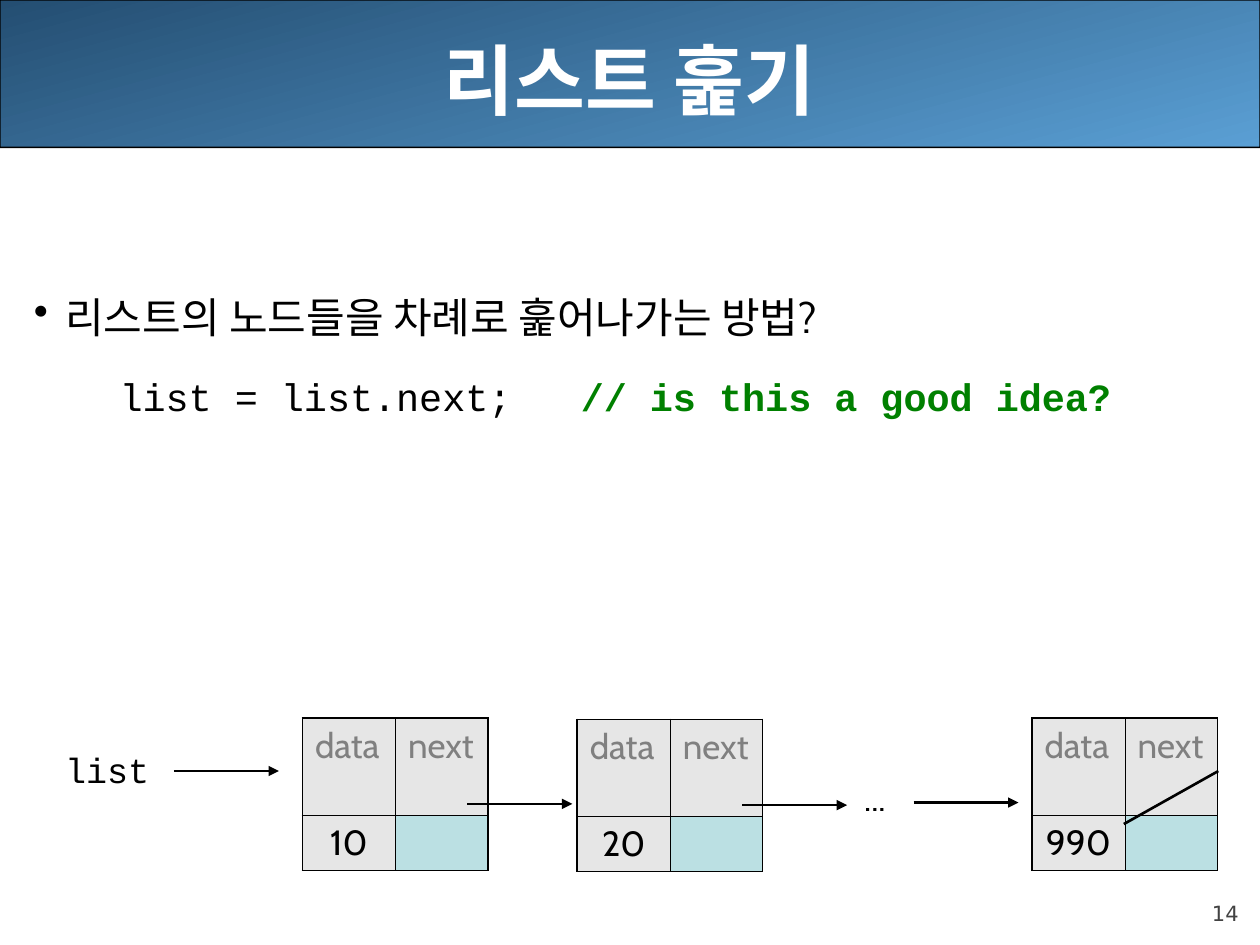
from dataclasses import dataclass, field

from lxml import etree
from pptx import Presentation
from pptx import util as u
from pptx.dml.color import RGBColor
from pptx.enum import shapes, text
from pptx.oxml.ns import qn

COLORS = {
    "black": "000000", "white": "FFFFFF", "banner_dark": "244E72",
    "banner_light": "5A9FD4", "comment": "008000", "number": "424242",
    "heading": "808080", "cell": "E6E6E6", "pointer": "BBE0E3",
}
LEFT, CENTER, RIGHT = text.PP_ALIGN.LEFT, text.PP_ALIGN.CENTER, text.PP_ALIGN.RIGHT
OUTER, INNER = 1.08, 0.45
ARROW_LENGTH = 60


@dataclass
class Run:
    words: str
    format: dict
    color: str = "black"


@dataclass
class Paragraph:
    runs: list[Run]
    align: text.PP_ALIGN = LEFT
    space_before: float = 0
    margin: float = 0
    indent: float = 0
    bullet: str = ""


@dataclass
class TextBox:
    left: float
    top: float
    width: float
    height: float
    paragraphs: list[Paragraph]
    format: dict = field(default_factory=dict)


@dataclass
class Node:
    left: float
    top: float
    value: str
    linked: bool = False


def font_format(name: str, size: float, bold: bool = False) -> dict:
    return {"name": name, "size": u.Pt(size), "bold": bold}


def rgb(color: str) -> RGBColor:
    return RGBColor.from_string(COLORS[color])


def write_paragraph(paragraph, content: Paragraph) -> None:
    paragraph.alignment = content.align
    paragraph.space_before = u.Pt(content.space_before)
    properties = paragraph._p.get_or_add_pPr()
    properties.set("marL", str(u.Pt(content.margin)))
    properties.set("indent", str(u.Pt(content.indent)))
    if content.bullet:
        etree.SubElement(properties, qn("a:buChar"), char=content.bullet)
    for item in content.runs:
        run = paragraph.add_run()
        run.text = item.words
        for key, value in item.format.items():
            setattr(run.font, key, value)
        run.font.color.rgb = rgb(item.color)


def add_text(slide, box: TextBox) -> None:
    shape = slide.shapes.add_textbox(*map(u.Pt, (box.left, box.top, box.width, box.height)))
    frame = shape.text_frame
    for key, value in ({"word_wrap": True} | box.format).items():
        setattr(frame, key, value)
    for index, content in enumerate(box.paragraphs):
        paragraph = frame.add_paragraph() if index else frame.paragraphs[0]
        write_paragraph(paragraph, content)


def add_banner(slide) -> None:
    banner = slide.shapes.add_shape(
        shapes.MSO_SHAPE.ROUNDED_RECTANGLE, 0, 0, u.Pt(720), u.Pt(84.24))
    banner.adjustments[0] = 0.001
    banner.shadow.inherit = False
    banner.fill.gradient()
    banner.fill.gradient_angle = 285
    for stop, color in zip(banner.fill.gradient_stops, ("banner_dark", "banner_light")):
        stop.color.rgb = rgb(color)
    banner.line.color.rgb = rgb("black")
    banner.line.width = u.Pt(0.75)


def add_line(slide, start: tuple[float, float], end: tuple[float, float],
             arrow: bool = False) -> None:
    line = slide.shapes.add_connector(
        shapes.MSO_CONNECTOR.STRAIGHT, *map(u.Pt, (*start, *end)))
    line.line.color.rgb = rgb("black")
    line.line.width = u.Pt(1.5)
    if arrow:
        etree.SubElement(line.line._get_or_add_ln(), qn("a:tailEnd"), type="triangle")
    etree.SubElement(line._element.spPr, qn("a:effectLst"))


def add_arrow(slide, left: float, top: float) -> None:
    add_line(slide, (left, top), (left + ARROW_LENGTH, top), arrow=True)


def set_borders(cell, widths: dict[str, float]) -> None:
    """Put the border lines before the cell's fill, as the schema requires."""
    properties = cell._tc.get_or_add_tcPr()
    for index, (side, width) in enumerate(widths.items()):
        border = etree.Element(qn(f"a:ln{side}"), w=str(u.Pt(width)))
        fill = etree.SubElement(border, qn("a:solidFill"))
        etree.SubElement(fill, qn("a:srgbClr"), val=COLORS["black"])
        properties.insert(index, border)


def add_node(slide, node: Node) -> None:
    """Draw a two-by-two node table, with an arrow to the next node if linked."""
    frame = slide.shapes.add_table(
        2, 2, *map(u.Pt, (node.left, node.top, 106, 87)))
    table = frame.table
    table.first_row = table.horz_banding = False
    for column, width in zip(table.columns, (53.2, 52.8)):
        column.width = u.Pt(width)
    for row, height in zip(table.rows, (55.4, 31.6)):
        row.height = u.Pt(height)
    contents = (("data", "next"), (node.value, ""))
    for r, words in enumerate(contents):
        for c, word in enumerate(words):
            cell = table.cell(r, c)
            cell.fill.solid()
            cell.fill.fore_color.rgb = rgb("pointer" if r and c else "cell")
            set_borders(cell, {"L": INNER if c else OUTER, "R": OUTER if c else INNER,
                               "T": INNER if r else OUTER, "B": OUTER if r else INNER})
            if word:
                run = Run(word, font_format("Cabin", 20), "black" if r else "heading")
                write_paragraph(cell.text_frame.paragraphs[0],
                                Paragraph([run], CENTER if r else LEFT))
    if node.linked:
        add_arrow(slide, node.left + 94.3, node.top + 49)


TIGHT = {"margin_left": 0, "margin_right": 0, "margin_top": 0, "margin_bottom": 0}
TEXTS = [
    TextBox(648, 500.4, 59.8, 28.8,
            [Paragraph([Run("14", font_format("DejaVu Sans", 12), "number")], RIGHT)],
            TIGHT | {"vertical_anchor": text.MSO_ANCHOR.BOTTOM}),
    TextBox(36, 0, 648, 90,
            [Paragraph([Run("리스트 훑기", font_format("Cabin", 44, True), "white")], CENTER)],
            {"vertical_anchor": text.MSO_ANCHOR.MIDDLE}),
    TextBox(12.24, 163, 707.76, 347, [
        Paragraph([Run("리스트의 노드들을 차례로 훑어나가는 방법?", font_format("Cabin", 24))],
                  margin=18, indent=-18, bullet="•"),
        Paragraph([Run("list = list.next;   ", font_format("Courier New", 22)),
                   Run("// is this a good idea?", font_format("Courier New", 22, True),
                       "comment")],
                  space_before=18, margin=49),
    ]),
    TextBox(30.2, 424.1, 62.6, 31.7,
            [Paragraph([Run("list", font_format("Courier New", 20))])], {"word_wrap": False}),
    TextBox(486.7, 439.9, 30.2, 31.7,
            [Paragraph([Run("...", font_format("Cabin", 20))])], {"word_wrap": False}),
]
NODES = [
    Node(172.8, 410.4, "10", linked=True),
    Node(329.8, 411.1, "20", linked=True),
    Node(589.7, 410.4, "990"),
]


def main() -> None:
    presentation = Presentation()
    presentation.slide_width, presentation.slide_height = u.Pt(720), u.Pt(540)
    slide = presentation.slides.add_slide(presentation.slide_layouts[6])
    add_banner(slide)
    for box in TEXTS:
        add_text(slide, box)
    for node in NODES:
        add_node(slide, node)
    add_arrow(slide, 99.4, 440.6)
    add_arrow(slide, 522, 458.6)
    add_line(slide, (696.2, 440.6), (642.2, 470.9))
    presentation.save("out.pptx")


if __name__ == "__main__":
    main()
